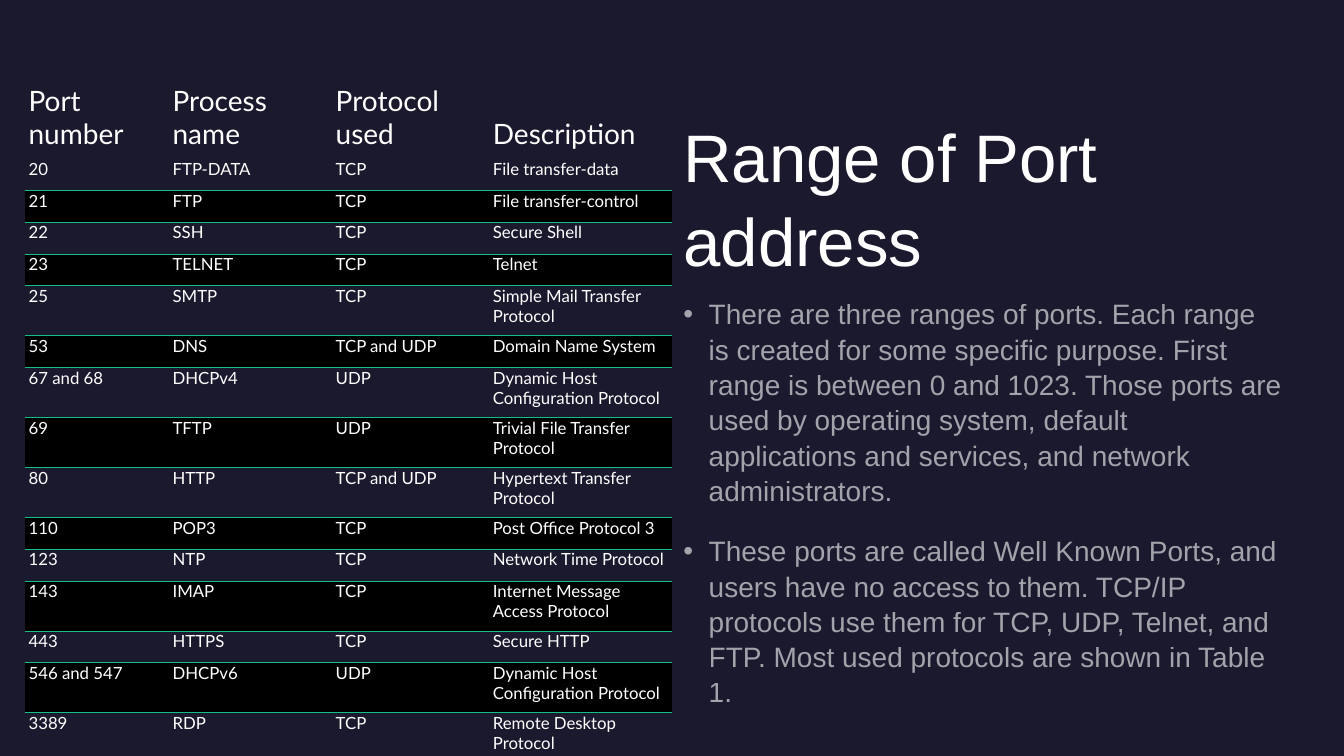
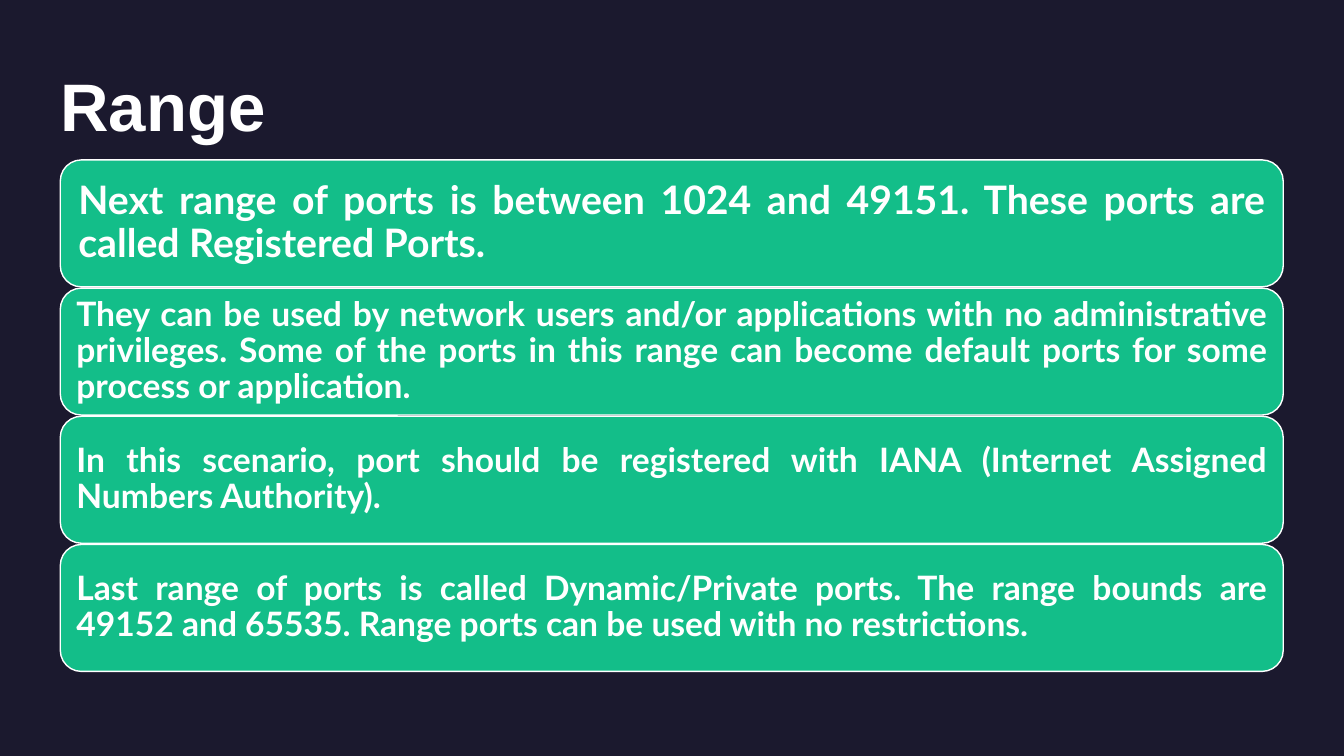
from lxml.etree import SubElement
from pptx import Presentation
from pptx.dml.color import RGBColor
from pptx.enum.shapes import MSO_SHAPE
from pptx.enum.text import MSO_ANCHOR, MSO_AUTO_SIZE, PP_ALIGN
from pptx.oxml import parse_xml
from pptx.oxml.ns import nsdecls, qn
from pptx.util import Cm, Pt

NAVY, GREEN, WHITE, BLACK = "1B192E", "13BE89", "FFFFFF", "000000"
HEADING_FONT, CONTENT_FONT = "Arial", "Lato"
PLAIN_TABLE = "{2D5ABB26-0587-4C30-8999-92F81FD0307C}"
LINE_SPACING = 1.05

HEADERS = ("Port number", "Process name", "Protocol used", "Description")
COLUMN_WIDTHS = (3.63, 4.11, 3.96, 4.62)
PORTS = (
    ("20", "FTP-DATA", "TCP", "File transfer-data"),
    ("21", "FTP", "TCP", "File transfer-control"),
    ("22", "SSH", "TCP", "Secure Shell"),
    ("23", "TELNET", "TCP", "Telnet"),
    ("25", "SMTP", "TCP", "Simple Mail Transfer Protocol"),
    ("53", "DNS", "TCP and UDP", "Domain Name System"),
    ("67 and 68", "DHCPv4", "UDP", "Dynamic Host Configuration Protocol"),
    ("69", "TFTP", "UDP", "Trivial File Transfer Protocol"),
    ("80", "HTTP", "TCP and UDP", "Hypertext Transfer Protocol"),
    ("110", "POP3", "TCP", "Post Office Protocol 3"),
    ("123", "NTP", "TCP", "Network Time Protocol"),
    ("143", "IMAP", "TCP", "Internet Message Access Protocol"),
    ("443", "HTTPS", "TCP", "Secure HTTP"),
    ("546 and 547", "DHCPv6", "UDP", "Dynamic Host Configuration Protocol"),
    ("3389", "RDP", "TCP", "Remote Desktop Protocol"),
)
BULLETS = (
    "There are three ranges of ports. Each range is created for some specific purpose. "
    "First range is between 0 and 1023. Those ports are used by operating system, default "
    "applications and services, and network administrators.",
    "These ports are called Well Known Ports, and users have no access to them. TCP/IP "
    "protocols use them for TCP, UDP, Telnet, and FTP. Most used protocols are shown in Table 1.",
)
CARDS = (
    ("Next range of ports is between 1024 and 49151. These ports are called Registered Ports.",
     28, 0.3),
    ("They can be used by network users and/or applications with no administrative privileges. "
     "Some of the ports in this range can become default ports for some process or application.",
     24, 0.25),
    ("In this scenario, port should be registered with IANA (Internet Assigned Numbers Authority).",
     24, 0.25),
    ("Last range of ports is called Dynamic/Private ports. The range bounds are 49152 and 65535. "
     "Range ports can be used with no restrictions.", 24, 0.25),
)


def colour(hex_code):
    """Turn a hex string into a colour."""
    return RGBColor.from_string(hex_code)


def add_span(para, text, size, font, bold=False):
    """Add a white run to a paragraph."""
    span = para.add_run()
    span.text = text
    span.font.size = Pt(size)
    span.font.name = font
    span.font.bold = bold
    span.font.color.rgb = colour(WHITE)
    return span


def place(box, left, top, width, height):
    """Move and size a shape, in centimetres."""
    box.left, box.top, box.width, box.height = map(Cm, (left, top, width, height))


def set_insets(target, left, top, right, bottom):
    """Set the four text margins of a frame or cell, in centimetres."""
    target.margin_left, target.margin_top = Cm(left), Cm(top)
    target.margin_right, target.margin_bottom = Cm(right), Cm(bottom)


def prepare_frame(box, anchor):
    """Give a placeholder a fixed, wrapping frame without margins."""
    frame = box.text_frame
    frame.auto_size = MSO_AUTO_SIZE.NONE
    frame.word_wrap = True
    frame.vertical_anchor = anchor
    set_insets(frame, 0, 0, 0, 0)
    return frame


def write_title(page, text, bounds, anchor, bold=False):
    """Place and fill the title placeholder."""
    box = page.shapes.title
    place(box, *bounds)
    para = prepare_frame(box, anchor).paragraphs[0]
    para.alignment = PP_ALIGN.LEFT
    para.line_spacing = LINE_SPACING
    add_span(para, text, 48, HEADING_FONT, bold)


def write_bullets(page, texts, bounds):
    """Place the body placeholder and fill it with translucent bullets."""
    box = page.placeholders[1]
    place(box, *bounds)
    frame = prepare_frame(box, MSO_ANCHOR.TOP)
    for index, text in enumerate(texts):
        para = frame.add_paragraph() if index else frame.paragraphs[0]
        properties = para._p.get_or_add_pPr()
        properties.set("marL", str(Cm(0.64)))
        properties.set("indent", str(Cm(-0.64)))
        SubElement(properties, qn("a:buChar"), char="•")
        para.line_spacing = LINE_SPACING
        para.space_before = Pt(10 if index else 0)
        para.space_after = Pt(8)
        span = add_span(para, text, 20, HEADING_FONT)
        tint = span._r.find(".//" + qn("a:srgbClr"))
        SubElement(tint, qn("a:alpha"), val="60000")


def write_cell(cell, text, is_header, is_dark):
    """Fill and format one table cell."""
    set_insets(cell, 0.1, 0, 0.1, 0.2)
    cell.vertical_anchor = MSO_ANCHOR.BOTTOM if is_header else MSO_ANCHOR.TOP
    add_span(cell.text_frame.paragraphs[0], text, 20 if is_header else 12, CONTENT_FONT)
    if not is_dark:
        cell.fill.background()
        return
    cell.fill.solid()
    cell.fill.fore_color.rgb = colour(BLACK)
    cell._tc.get_or_add_tcPr().insert(0, parse_xml(
        f'<a:lnT {nsdecls("a")} w="{Pt(1)}"><a:solidFill>'
        f'<a:srgbClr val="{GREEN}"/></a:solidFill></a:lnT>'))


def add_port_table(page, left, top):
    """Add the table of ports with every second port row dark."""
    rows = (HEADERS, *PORTS)
    heights = [1.9] + [1.26 if len(port[-1]) > 22 else 0.8 for port in PORTS]
    table = page.shapes.add_table(
        len(rows), len(HEADERS), Cm(left), Cm(top),
        Cm(sum(COLUMN_WIDTHS)), Cm(sum(heights))).table
    table._tbl.tblPr.find(qn("a:tableStyleId")).text = PLAIN_TABLE
    table.first_row = table.horz_banding = False
    for column, width in zip(table.columns, COLUMN_WIDTHS):
        column.width = Cm(width)
    for index, (texts, height) in enumerate(zip(rows, heights)):
        table.rows[index].height = Cm(height)
        is_dark = index > 0 and index % 2 == 0
        for cell, text in zip(table.rows[index].cells, texts):
            write_cell(cell, text, index == 0, is_dark)


def add_card(page, text, size, inset, top):
    """Add a green rounded card with justified text."""
    card = page.shapes.add_shape(
        MSO_SHAPE.ROUNDED_RECTANGLE, Cm(1.52), Cm(top), Cm(30.82), Cm(3.2))
    card.shadow.inherit = False
    card.fill.solid()
    card.fill.fore_color.rgb = colour(GREEN)
    card.line.color.rgb = colour(WHITE)
    card.line.width = Pt(1)
    frame = card.text_frame
    frame.word_wrap = True
    frame.vertical_anchor = MSO_ANCHOR.MIDDLE
    set_insets(frame, inset, inset, inset, inset)
    para = frame.paragraphs[0]
    para.alignment = PP_ALIGN.JUSTIFY
    para.line_spacing = 0.9
    add_span(para, text, size, CONTENT_FONT, bold=True)


def build_port_page(deck):
    """Build the page with the port table and the bullets."""
    page = deck.slides.add_slide(deck.slide_layouts[1])
    write_title(page, "Range of Port address", (17.22, 1.52, 15.11, 5.54), MSO_ANCHOR.BOTTOM)
    write_bullets(page, BULLETS, (17.22, 7.44, 15.11, 9.5))
    add_port_table(page, 0.62, 2.1)


def build_range_page(deck):
    """Build the page with the stack of cards."""
    page = deck.slides.add_slide(deck.slide_layouts[5])
    write_title(page, "Range", (1.52, 1.52, 30.82, 3.7), MSO_ANCHOR.TOP, bold=True)
    for index, (text, size, inset) in enumerate(CARDS):
        add_card(page, text, size, inset, 4.03 + index * 3.23)


def main():
    """Build and save the deck."""
    deck = Presentation()
    deck.slide_width, deck.slide_height = Cm(33.87), Cm(19.05)
    backdrop = deck.slide_master.background.fill
    backdrop.solid()
    backdrop.fore_color.rgb = colour(NAVY)
    build_port_page(deck)
    build_range_page(deck)
    deck.save("out.pptx")


if __name__ == "__main__":
    main()
